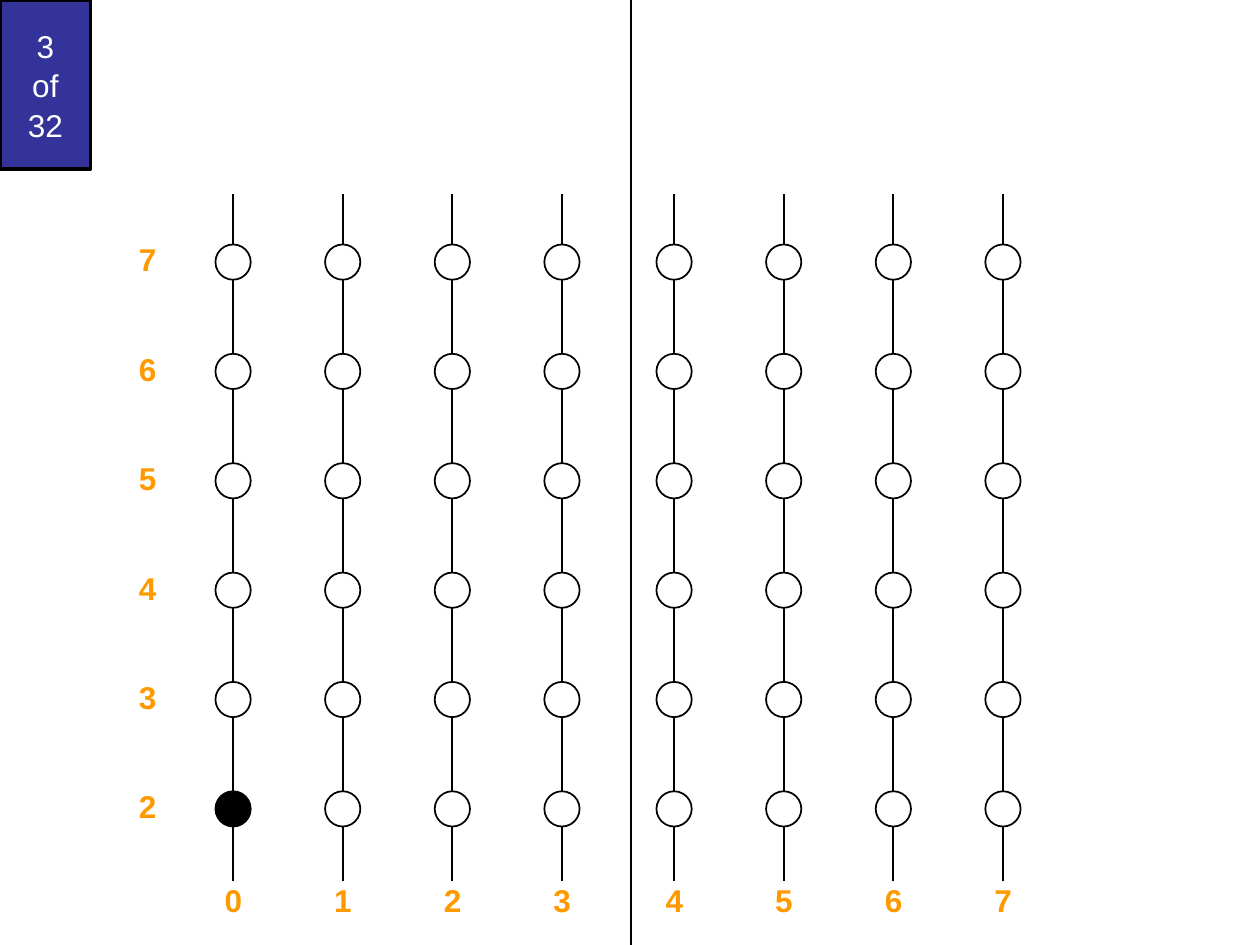
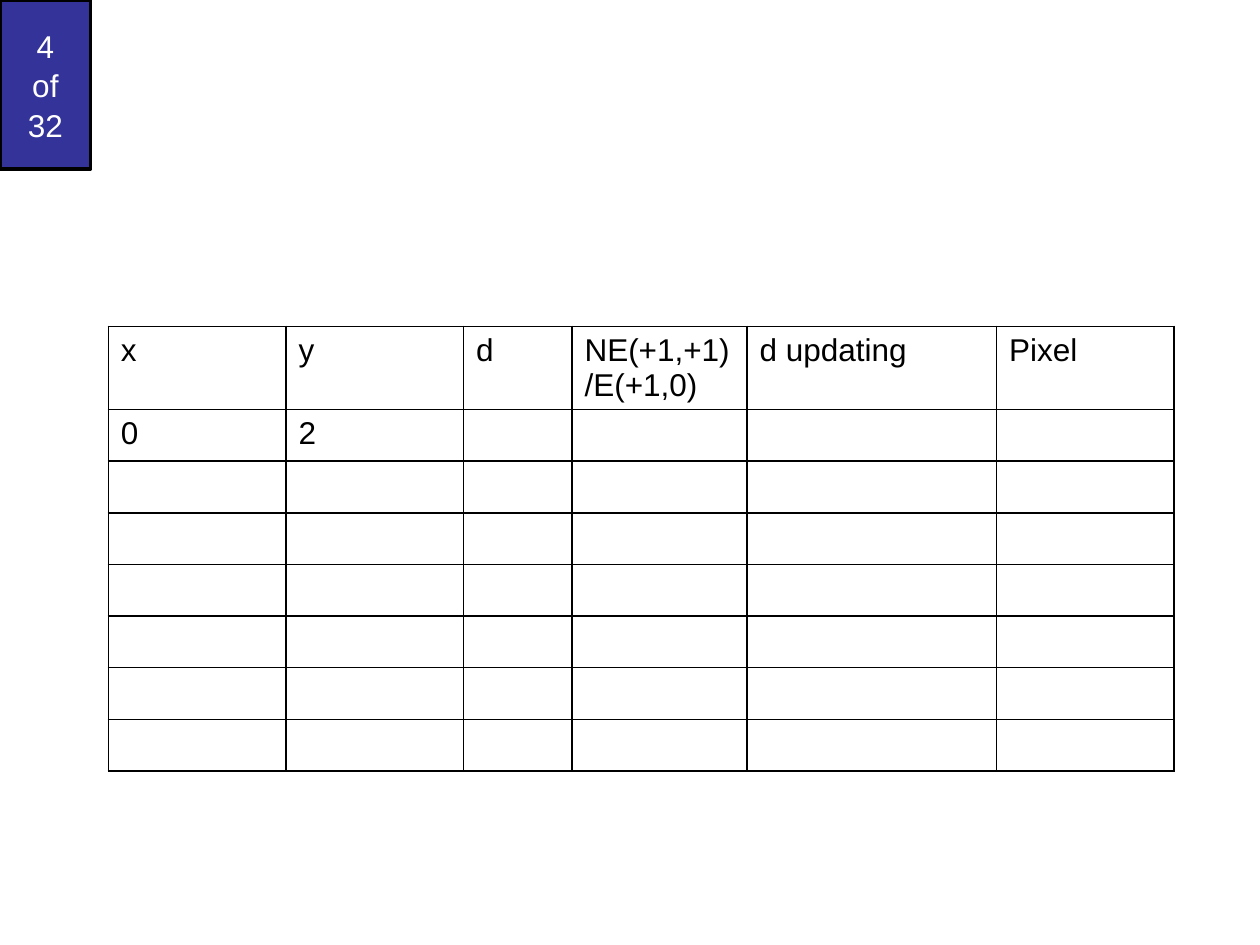
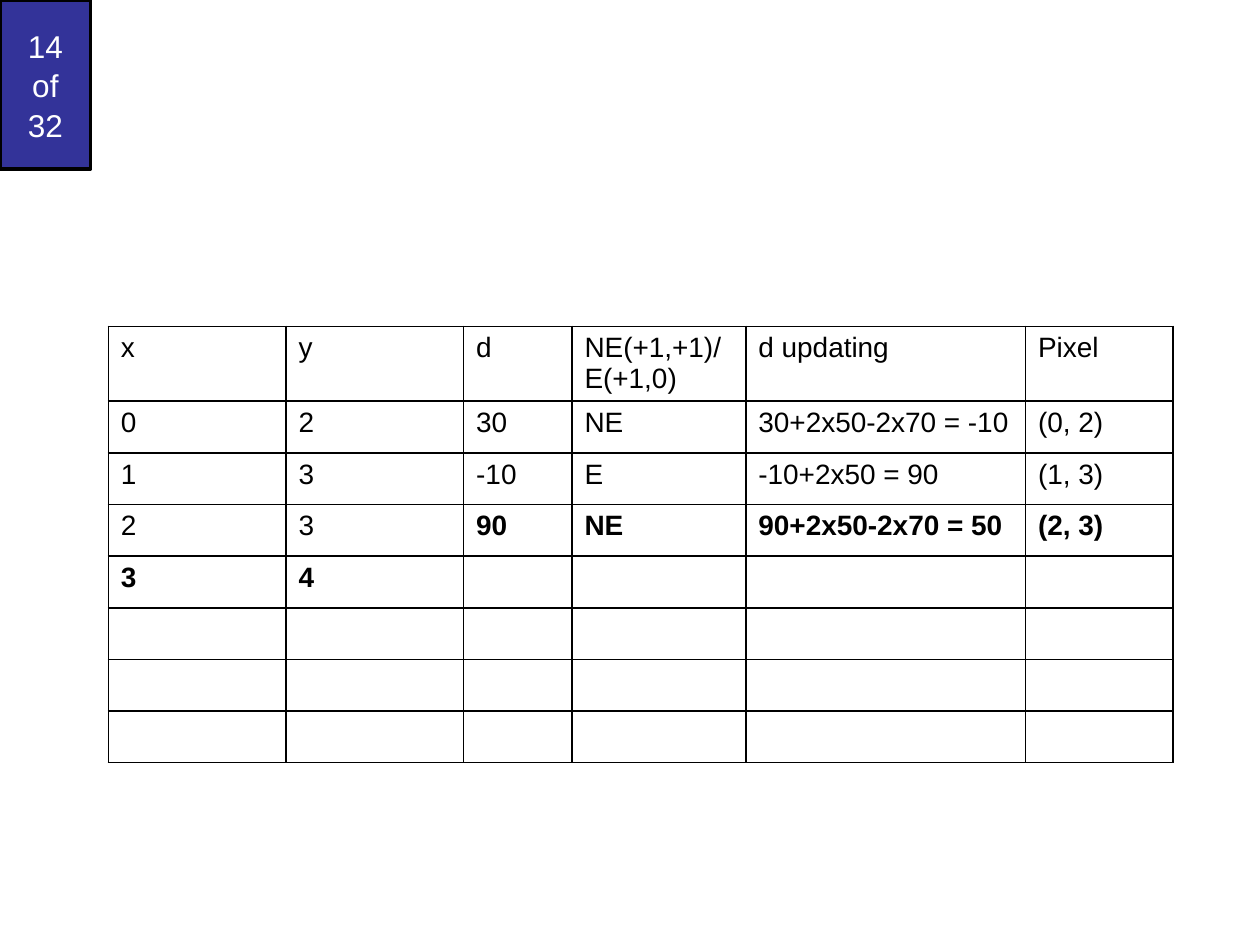
from dataclasses import dataclass

from lxml import etree
from pptx import Presentation
from pptx import util as u
from pptx.dml.color import RGBColor
from pptx.enum import shapes, text
from pptx.oxml import ns, parse_xml


@dataclass(frozen=True)
class Theme:
    font: str = "Arial"
    ink: RGBColor = RGBColor(0, 0, 0)
    paper: RGBColor = RGBColor(255, 255, 255)
    badge: RGBColor = RGBColor(0x33, 0x33, 0x99)
    label: RGBColor = RGBColor(0xFF, 0x99, 0x00)
    body_size: int = 18
    compact_size: int = 16
    line_width: int = 1
    badge_line_width: int = 2


theme = Theme()
inches = u.Inches


def write(frame, content, color, size=theme.body_size, bold=False, align=text.PP_ALIGN.LEFT):
    paragraph = frame.paragraphs[0]
    paragraph.text = content
    paragraph.alignment = align
    for run in paragraph.runs:
        for name, value in {"name": theme.font, "size": u.Pt(size), "bold": bold}.items():
            setattr(run.font, name, value)
        run.font.color.rgb = color
    return paragraph


def add_line(slide, x, top, bottom):
    line = slide.shapes.add_connector(
        shapes.MSO_CONNECTOR.STRAIGHT, inches(x), inches(top), inches(x), inches(bottom)
    )
    line.line.color.rgb = theme.ink
    line.line.width = u.Pt(theme.line_width)
    etree.SubElement(line.element.spPr, ns.qn("a:effectLst"))


presentation = Presentation()
presentation.slide_width = inches(10)
presentation.slide_height = inches(7.5)

slides = []
for number in (3, 4, 14):
    slide = presentation.slides.add_slide(presentation.slide_layouts[6])
    badge = slide.shapes.add_shape(
        shapes.MSO_SHAPE.RECTANGLE, 0, 0, inches(0.72), inches(1.34)
    )
    badge.shadow.inherit = False
    badge.fill.solid()
    badge.fill.fore_color.rgb = theme.badge
    badge.line.color.rgb = theme.ink
    badge.line.width = u.Pt(theme.badge_line_width)
    badge.text_frame.vertical_anchor = text.MSO_ANCHOR.MIDDLE
    paragraph = write(
        badge.text_frame, f"{number}\vof\v32", theme.paper, align=text.PP_ALIGN.CENTER
    )
    paragraph.line_spacing = 1.05
    slides.append(slide)

grid_slide = slides[0]
column_centers = [1.85 + 0.87 * column + (0.02 if column > 3 else 0) for column in range(8)]
row_centers = [2.08 + (6.42 - 2.08) * row / 5 for row in range(6)]
row_numbers = range(7, 1, -1)
start_pixel = (0, 2)
radius = 0.14
axis_half_length = 3.71

for y in row_centers:
    add_line(grid_slide, 5.01, y - axis_half_length, y + axis_half_length)
for x in column_centers:
    add_line(grid_slide, x, 1.54, 6.99)

for y, row_number in zip(row_centers, row_numbers):
    for column_number, x in enumerate(column_centers):
        pixel = grid_slide.shapes.add_shape(
            shapes.MSO_SHAPE.OVAL,
            inches(x - radius), inches(y - radius), inches(2 * radius), inches(2 * radius),
        )
        pixel.shadow.inherit = False
        pixel.fill.solid()
        is_start = (column_number, row_number) == start_pixel
        pixel.fill.fore_color.rgb = theme.ink if is_start else theme.paper
        pixel.line.color.rgb = theme.ink
        pixel.line.width = u.Pt(theme.line_width)

labels = [(1, y - 0.22, number) for y, number in zip(row_centers, row_numbers)]
labels += [(x - 0.17, 6.94, number) for number, x in enumerate(column_centers)]
for left, top, number in labels:
    label = grid_slide.shapes.add_textbox(inches(left), inches(top), inches(0.34), inches(0.4))
    label.text_frame.word_wrap = False
    label.text_frame.auto_size = text.MSO_AUTO_SIZE.SHAPE_TO_FIT_TEXT
    write(label.text_frame, str(number), theme.label, bold=True, align=text.PP_ALIGN.RIGHT)

header = ["x", "y", "d", "NE(+1,+1)/E(+1,0)", "d updating", "Pixel"]
row_count = 8
row_height = 0.41
trace_tables = [
    {
        "slide": slides[1],
        "size": theme.body_size,
        "widths": [1.41, 1.41, 0.86, 1.39, 1.98, 1.41],
        "rows": [header, ["0", "2"]],
        "bold": set(),
    },
    {
        "slide": slides[2],
        "size": theme.compact_size,
        "widths": [1.41, 1.41, 0.86, 1.38, 2.22, 1.17],
        "rows": [
            header,
            ["0", "2", "30", "NE", "30+2x50-2x70 = -10", "(0, 2)"],
            ["1", "3", "-10", "E", "-10+2x50 = 90", "(1, 3)"],
            ["2", "3", "90", "NE", "90+2x50-2x70 = 50", "(2, 3)"],
            ["3", "4"],
        ],
        "bold": {(3, 2), (3, 3), (3, 4), (3, 5), (4, 0), (4, 1)},
    },
]

for trace in trace_tables:
    table = trace["slide"].shapes.add_table(
        row_count, len(header), inches(0.86), inches(2.59),
        inches(sum(trace["widths"])), inches(row_count * row_height),
    ).table
    table.first_row = False
    table.horz_banding = False
    for column, width in zip(table.columns, trace["widths"]):
        column.width = inches(width)
    for row in table.rows:
        row.height = inches(row_height)
        for cell in row.cells:
            for side in ("lnL", "lnR", "lnT", "lnB"):
                border = parse_xml(
                    f'<a:{side} {ns.nsdecls("a")} w="{u.Pt(theme.line_width)}"><a:solidFill>'
                    f'<a:srgbClr val="{theme.ink}"/></a:solidFill></a:{side}>'
                )
                cell._tc.get_or_add_tcPr().append(border)
            cell.fill.background()
    for row_index, values in enumerate(trace["rows"]):
        for column_index, value in enumerate(values):
            write(
                table.cell(row_index, column_index).text_frame, value, theme.ink,
                size=trace["size"], bold=(row_index, column_index) in trace["bold"],
            )

presentation.save("out.pptx")
